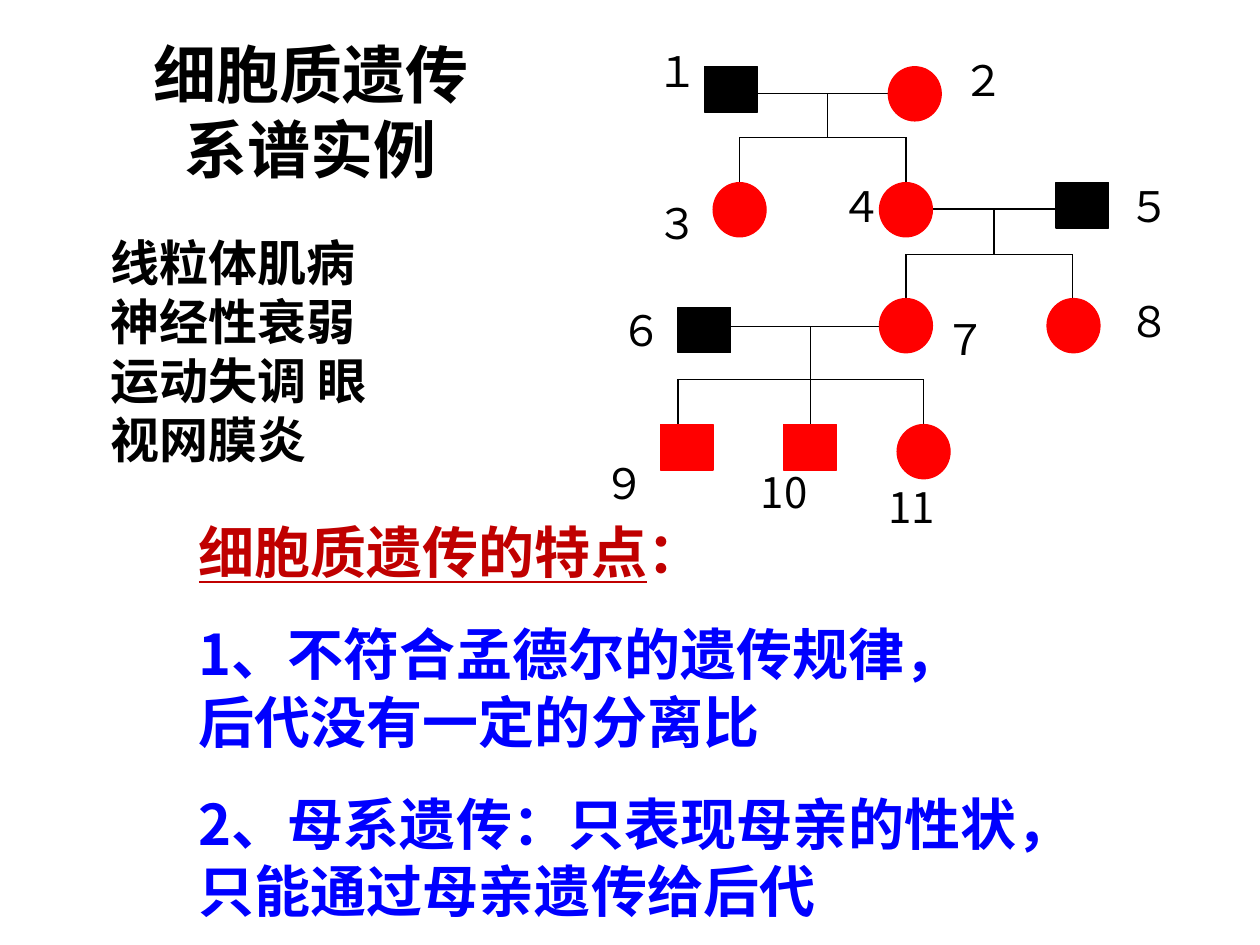
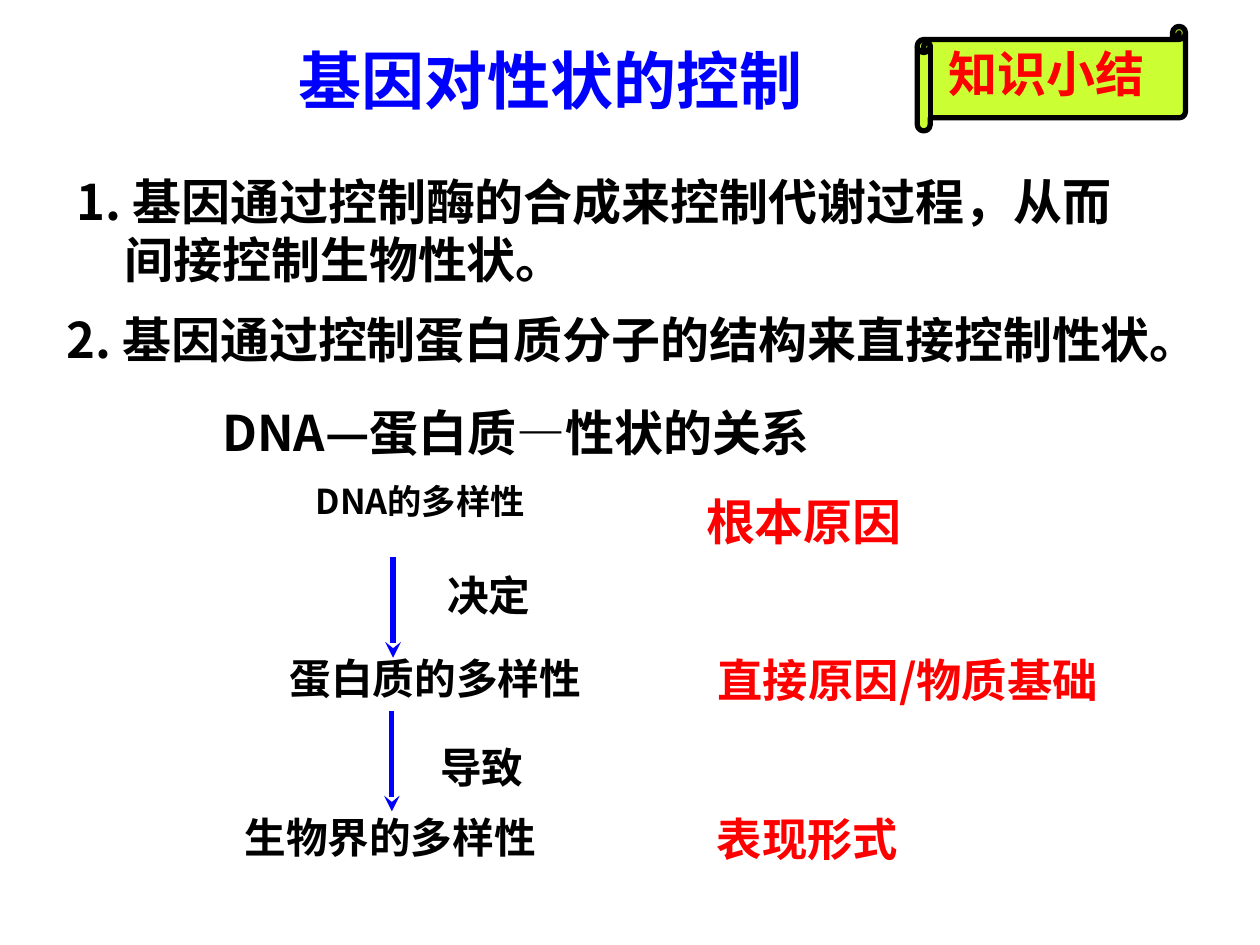
from pptx import Presentation
from pptx.util import Inches, Pt
from pptx.dml.color import RGBColor
from pptx.enum.shapes import MSO_SHAPE as Shape, MSO_CONNECTOR as Link
from pptx.enum.text import PP_ALIGN as Align, MSO_ANCHOR as Anchor
from pptx.oxml.ns import qn
from lxml.etree import SubElement

# Shared style
HUES = {"black": "000000", "red": "FF0000", "dark": "C00000",
        "blue": "0000FF", "lime": "CCFF33"}
FONT = "Noto Sans CJK SC"
LEAD = 1.2  # line height per point of text size

# Slide 1: text as (box, size, hue, text)
TITLE = ((0.94, 0.23, 3.05, 1.3), 36, "black", "细胞质遗传系谱实例")
ILLS = ((0.78, 1.8, 2.33, 1.97), 28, "black", "线粒体肌病神经性衰弱运动失调 眼视网膜炎")
TRAITS = ((1.48, 4.06, 7.11, 3.33), 32, "blue", [
    "细胞质遗传的特点：",
    "1、不符合孟德尔的遗传规律，\v后代没有一定的分离比",
    "2、母系遗传：只表现母亲的性状，只能通过母亲遗传给后代"])

# Pedigree: (label, label x, y, label width, sex, hue, symbol x, y)
KIN = [
    ("１", 5.11, 0.31, 0.42, "male", "black", 5.59, 0.53),
    ("２", 7.54, 0.38, 0.56, "female", "red", 7.05, 0.53),
    ("３", 5.11, 1.52, 0.48, "female", "red", 5.66, 1.45),
    ("４", 6.57, 1.38, 0.35, "female", "red", 6.98, 1.45),
    ("５", 8.86, 1.38, 0.49, "male", "black", 8.38, 1.45),
    ("６", 4.83, 2.37, 0.49, "male", "black", 5.38, 2.44),
    ("７", 7.4, 2.44, 0.42, "female", "red", 6.98, 2.37),
    ("８", 8.86, 2.3, 0.63, "female", "red", 8.31, 2.37),
    ("９", 4.69, 3.58, 0.49, "male", "red", 5.24, 3.37),
    ("10", 5.94, 3.65, 0.77, "male", "red", 6.22, 3.37),
    ("11", 6.95, 3.77, 1.31, "female", "red", 7.12, 3.37),
]
SEX = {"male": (Shape.RECTANGLE, 0.36), "female": (Shape.OVAL, 0.43)}
# Families: (left mate x, right mate x, mate y, stem x, bar y, child y, child xs)
CLANS = [
    (6.01, 7.05, 0.74, 6.57, 1.09, 1.45, (5.87, 7.19)),
    (7.33, 8.38, 1.66, 7.89, 2.02, 2.37, (7.19, 8.51)),
    (5.8, 6.99, 2.59, 6.43, 3.01, 3.37, (5.38, 6.43, 7.33)),
]

# Slide 2
HEAD = ((2.09, 0.28, 4.55, 0.7), 36, "blue", "基因对性状的控制")
SCROLL = (7.28, 0.21, 2.13, 0.83)
BADGE = ((7.43, 0.3, 2.27, 0.57), 28, "red", "知识小结")
RULE1 = ((0.51, 1.31, 8.66, 1.04), 28, "black",
         "1. 基因通过控制酶的合成来控制代谢过程，从而间接控制生物性状。")
RULE2 = ((0.43, 2.41, 9.14, 1.04), 28, "black",
         "2. 基因通过控制蛋白质分子的结构来直接控制性状。")
TOPIC = ((1.3, 3.12, 5.59, 0.61), 28, "black", "DNA—蛋白质—性状的关系")
# Flow: (box, size, hue, text, line spacing)
FLOW = [
    ((1.46, 3.83, 3.75, 0.46), 19.6, "black", "DNA的多样性", 0.8),
    ((3.09, 4.51, 1.58, 0.51), 23.8, "black", "决定", 0.9),
    ((1.58, 5.17, 3.75, 0.51), 23.8, "black", "蛋白质的多样性", 0.9),
    ((3.19, 5.88, 1.27, 0.51), 23.8, "black", "导致", 0.9),
    ((1.22, 6.43, 3.75, 0.51), 23.8, "black", "生物界的多样性", 0.9),
    ((5.17, 3.85, 2.42, 0.6), 28, "red", "根本原因", 1),
    ((5.08, 5.17, 4.25, 0.55), 25.9, "red", "直接原因/物质基础", 0.9),
    ((5.16, 6.43, 2.5, 0.55), 25.9, "red", "表现形式", 0.9),
]
ARROWS = [(3.12, 4.42), (3.11, 5.64)]
REACH = 0.8


def tint(name):
    return RGBColor.from_string(HUES[name])


def style(run, size, hue, bold, font):
    run.font.size, run.font.bold, run.font.name = Pt(size), bold, font
    run.font.color.rgb = tint(hue)
    SubElement(run.font._element, qn("a:ea"), typeface=FONT)


def write(slide, box, size, hue, text, lead=1, align=Align.LEFT,
          bold=True, font=FONT, gap=0):
    frame = slide.shapes.add_textbox(*map(Inches, box)).text_frame
    frame.word_wrap = True
    lines = [text] if isinstance(text, str) else text
    for i, line in enumerate(lines):
        para = frame.add_paragraph() if i else frame.paragraphs[0]
        para.text = line
        para.alignment = align
        para.line_spacing = Pt(round(size * LEAD * lead, 1))
        if i:
            para.space_before = Pt(gap)
        for run in para.runs:
            style(run, size, hue, bold, font)
    return frame


def draw(slide, kind, box, fill, edge, width):
    item = slide.shapes.add_shape(kind, *map(Inches, box))
    item.shadow.inherit = False
    item.fill.solid()
    item.fill.fore_color.rgb = tint(fill)
    item.line.color.rgb = tint(edge)
    item.line.width = Pt(width)
    return item


def join(slide, x1, y1, x2, y2, hue="black", width=0.75, tip=None):
    line = slide.shapes.add_connector(Link.STRAIGHT, *map(Inches, (x1, y1, x2, y2)))
    line.line.color.rgb = tint(hue)
    line.line.width = Pt(width)
    if tip:
        SubElement(line.line._get_or_add_ln(), qn("a:tailEnd"), type=tip)
    SubElement(line._element.spPr, qn("a:effectLst"))


def pedigree(slide):
    # Family lines
    for left, right, top, stem, bar, foot, kids in CLANS:
        join(slide, left, top, right, top)
        join(slide, stem, top, stem, bar)
        join(slide, kids[0], bar, kids[-1], bar)
        for x in kids:
            join(slide, x, bar, x, foot)
    # Symbols and numbers
    for label, lx, ly, wide, sex, hue, x, y in KIN:
        kind, high = SEX[sex]
        draw(slide, kind, (x, y, 0.42, high), hue, hue, 0.75)
        write(slide, (lx, ly, wide, 0.5), 24, "black", label, bold=False)


def case(slide):
    frame = write(slide, *TRAITS, gap=20)
    # The heading is red, underlined up to its colon
    first = frame.paragraphs[0]
    run = first.runs[0]
    run.text, colon = run.text[:-1], run.text[-1]
    tail = first.add_run()
    tail.text = colon
    style(tail, TRAITS[1], "dark", True, FONT)
    run.font.color.rgb = tint("dark")
    run.font.underline = True
    pedigree(slide)
    write(slide, *TITLE, align=Align.CENTER, font="Arial")
    write(slide, *ILLS)


def recap(slide):
    write(slide, *HEAD, align=Align.CENTER)
    # Two rules, the first with a hanging indent
    first = write(slide, *RULE1).paragraphs[0]
    props = first._p.get_or_add_pPr()
    props.set("marL", str(Inches(0.38)))
    props.set("indent", str(Inches(-0.38)))
    write(slide, *RULE2)
    # Flow from cause to form
    topic = write(slide, *TOPIC, align=Align.CENTER)
    topic.vertical_anchor = Anchor.MIDDLE
    for part in FLOW:
        write(slide, *part, align=Align.CENTER)
    for x, y in ARROWS:
        join(slide, x, y, x, y + REACH, "blue", 3, "stealth")
    # Scroll badge
    scroll = draw(slide, Shape.HORIZONTAL_SCROLL, SCROLL, "lime", "black", 3)
    scroll.adjustments[0] = 0.125
    write(slide, *BADGE)


def main():
    deck = Presentation()
    deck.slide_width, deck.slide_height = Inches(10), Inches(7.5)
    for build in (case, recap):
        build(deck.slides.add_slide(deck.slide_layouts[6]))
    deck.save("out.pptx")


if __name__ == "__main__":
    main()
